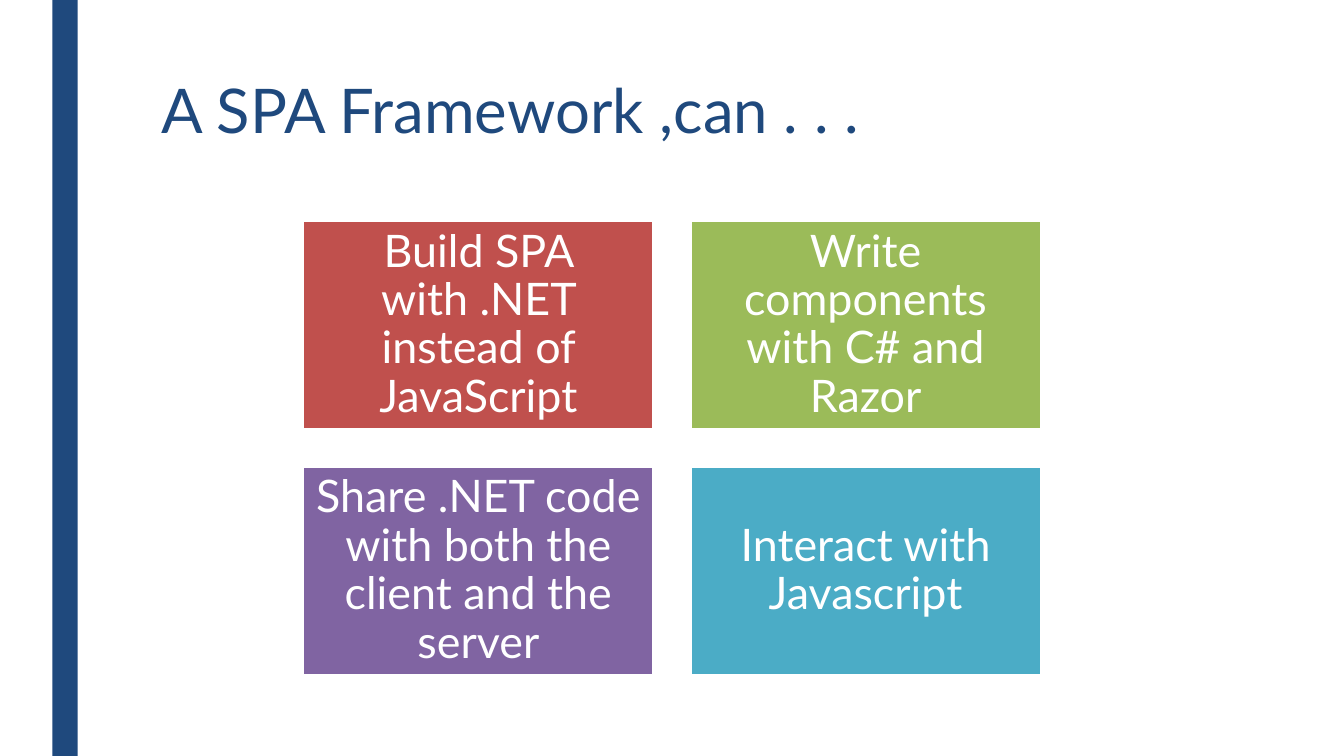
from pptx import Presentation
from pptx.dml.color import RGBColor
from pptx.enum.shapes import MSO_SHAPE
from pptx.enum.text import MSO_ANCHOR, MSO_AUTO_SIZE, PP_ALIGN
from pptx.util import Pt

RECT = MSO_SHAPE.RECTANGLE
TOP, MIDDLE = MSO_ANCHOR.TOP, MSO_ANCHOR.MIDDLE
LEFT, CENTER = PP_ALIGN.LEFT, PP_ALIGN.CENTER
FIXED = MSO_AUTO_SIZE.NONE
NAVY, WHITE = "1F497D", "FFFFFF"
CARDS = [
    ("Build SPA with .NET instead of JavaScript", "C0504D"),
    ("Write components with C# and Razor", "9BBB59"),
    ("Share .NET code with both the client and the server", "8064A2"),
    ("Interact with Javascript", "4BACC6"),
]


def px(n):
    """Turn px, 100 to the inch, into EMU."""
    return n * 9144


def color(code):
    """Turn a hex string into a colour."""
    return RGBColor.from_string(code)


def write(shape, text, size=32, ink=WHITE, align=CENTER, anchor=MIDDLE,
          space=0.9, pad=(13, 13)):
    """Put formatted text into a shape."""
    frame = shape.text_frame
    frame.word_wrap = True
    frame.auto_size = FIXED
    frame.vertical_anchor = anchor
    frame.margin_left = frame.margin_right = px(pad[0])
    frame.margin_top = frame.margin_bottom = px(pad[1])
    frame.text = text
    para = frame.paragraphs[0]
    para.alignment = align
    para.line_spacing = space
    para.space_before = Pt(0)
    font = para.runs[0].font
    font.name = "Lato"
    font.size = Pt(size)
    font.color.rgb = color(ink)


def block(slide, x, y, w, h, fill, edge=None):
    """Draw a filled rectangle."""
    shape = slide.shapes.add_shape(RECT, px(x), px(y), px(w), px(h))
    shape.shadow.inherit = False
    shape.fill.solid()
    shape.fill.fore_color.rgb = color(fill)
    if edge:
        shape.line.color.rgb = color(edge)
        shape.line.width = Pt(2.75)
    else:
        shape.line.fill.background()
    return shape


def head(slide, text):
    """Place and format the slide title."""
    title = slide.shapes.title
    title.left, title.top = px(150), px(75)
    title.width, title.height = px(1050), px(162)
    write(title, text, size=44, ink=NAVY, align=LEFT, anchor=TOP,
          space=0.89, pad=(10, 5))


def grid(slide):
    """Lay the cards out two to a row."""
    for i, (text, fill) in enumerate(CARDS):
        row, col = divmod(i, 2)
        card = block(slide, 300 + col * 384, 218 + row * 244, 349, 209,
                     fill, WHITE)
        write(card, text)


def main():
    """Build and save the slide."""
    deck = Presentation()
    deck.slide_width, deck.slide_height = px(1333), px(750)
    slide = deck.slides.add_slide(deck.slide_layouts[5])
    block(slide, 52, 0, 25, 750, NAVY)
    grid(slide)
    head(slide, "A SPA Framework ,can . . .")
    deck.save("out.pptx")


if __name__ == "__main__":
    main()
